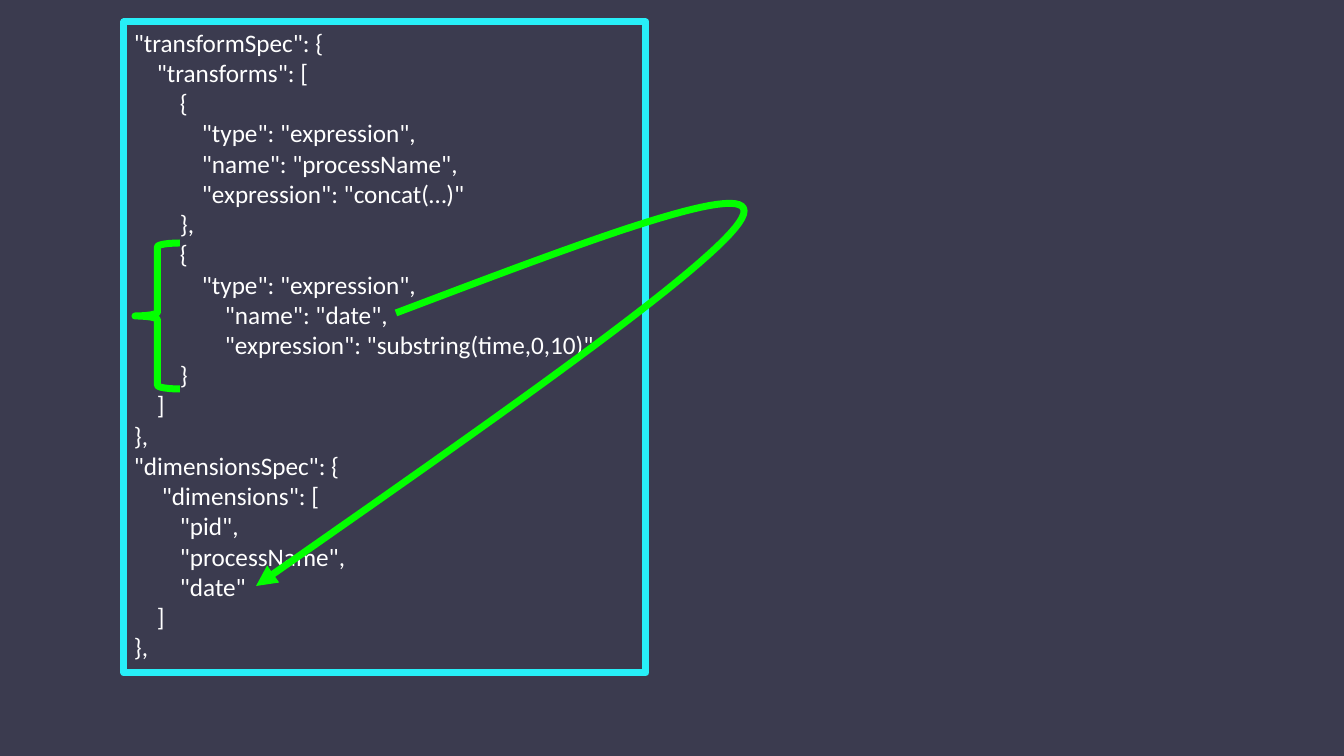
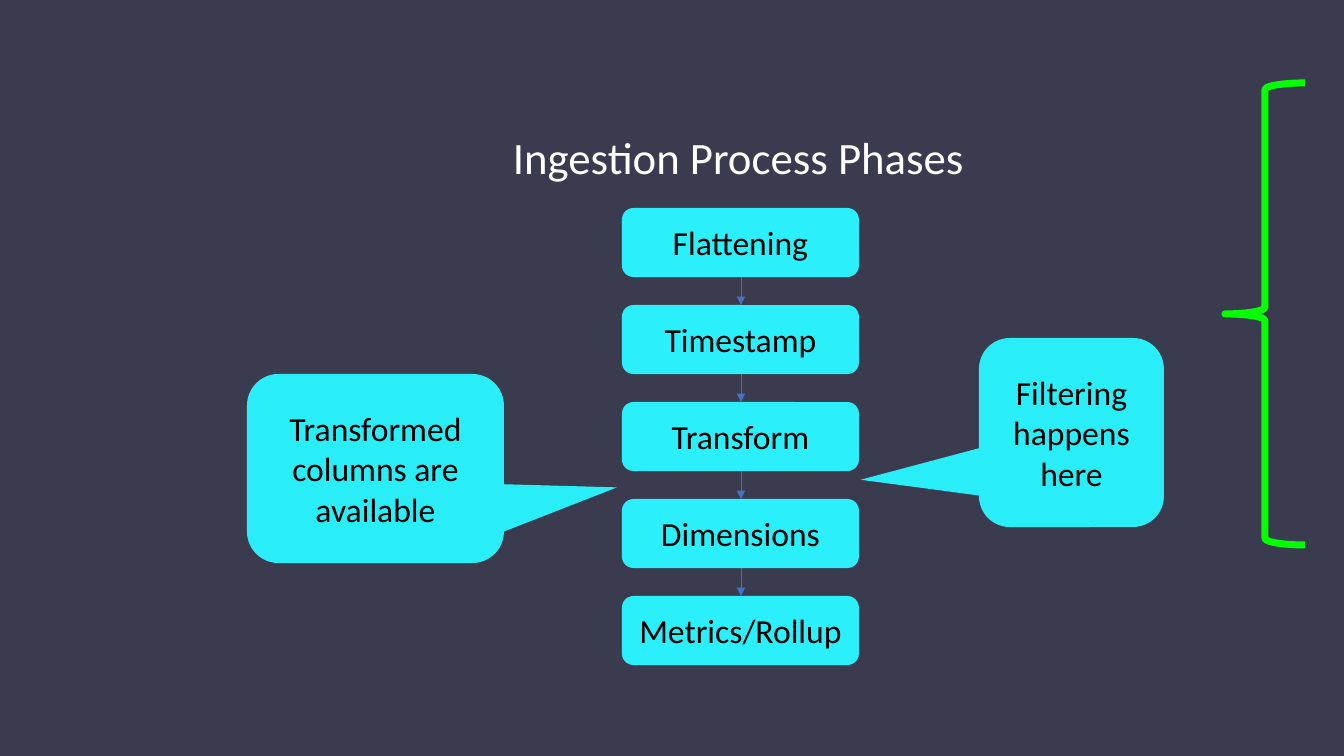
from lxml import etree
from pptx import Presentation
from pptx.dml.color import RGBColor
from pptx.enum.shapes import MSO_CONNECTOR, MSO_SHAPE
from pptx.enum.text import MSO_ANCHOR, MSO_AUTO_SIZE, PP_ALIGN
from pptx.oxml.ns import qn
from pptx.util import Pt

EMU_PER_PX = 914400 / 100.8
SLIDE_SIZE = (1344, 756)

NIGHT = RGBColor(0x3B, 0x3B, 0x4F)
FRAME_CYAN = RGBColor(0x27, 0xEF, 0xF8)
PHASE_CYAN = RGBColor(0x2B, 0xEF, 0xFB)
CALLOUT_CYAN = RGBColor(0x29, 0xEE, 0xF8)
GREEN = RGBColor(0x03, 0xFF, 0x00)
BLUE = RGBColor(0x44, 0x72, 0xC4)
WHITE = RGBColor(0xFF, 0xFF, 0xFF)
BLACK = RGBColor(0x00, 0x00, 0x00)

FONT = "Calibri"
CODE_SIZE, LABEL_SIZE, TITLE_SIZE = 18, 24, 32
THICK, THIN = 5, 0.5

RECTANGLE = MSO_SHAPE.RECTANGLE
ROUNDED = MSO_SHAPE.ROUNDED_RECTANGLE
CALLOUT = MSO_SHAPE.ROUNDED_RECTANGULAR_CALLOUT
LEFT_BRACE = MSO_SHAPE.LEFT_BRACE
STRAIGHT = MSO_CONNECTOR.STRAIGHT
LEFT, CENTER = PP_ALIGN.LEFT, PP_ALIGN.CENTER
TOP, MIDDLE = MSO_ANCHOR.TOP, MSO_ANCHOR.MIDDLE
GROW = MSO_AUTO_SIZE.SHAPE_TO_FIT_TEXT

# Each code line is its left indent in px and its text.
CODE = [
    (0, '"transformSpec": {'),
    (23, '"transforms": ['),
    (46, '{'),
    (68, '"type": "expression",'),
    (68, '"name": "processName",'),
    (68, '"expression": "concat(…)"'),
    (46, '},'),
    (46, '{'),
    (68, '"type": "expression",'),
    (91, '"name": "date",'),
    (91, '"expression": "substring(time,0,10)"'),
    (46, '}'),
    (23, ']'),
    (0, '},'),
    (0, '"dimensionsSpec": {'),
    (28, '"dimensions": ['),
    (46, '"pid",'),
    (46, '"processName",'),
    (46, '"date"'),
    (23, ']'),
    (0, '},'),
]
PHASES = ["Flattening", "Timestamp", "Transform", "Dimensions", "Metrics/Rollup"]


def px(length):
    return round(length * EMU_PER_PX)


def bezier_points(start, first, second, end, steps=32):
    """Points along a cubic curve, without its start."""
    points = []
    for step in range(1, steps + 1):
        t = step / steps
        u = 1 - t
        weights = (u ** 3, 3 * u * u * t, 3 * u * t * t, t ** 3)
        points.append(tuple(
            px(sum(w * c for w, c in zip(weights, coords)))
            for coords in zip(start, first, second, end)))
    return points


class Deck:
    def __init__(self):
        self.deck = Presentation()
        self.deck.slide_width, self.deck.slide_height = map(px, SLIDE_SIZE)
        background = self.deck.slide_master.background.fill
        background.solid()
        background.fore_color.rgb = NIGHT
        self.slide = None

    def new_slide(self):
        self.slide = self.deck.slides.add_slide(self.deck.slide_layouts[6])

    def style(self, shape, fill=None, line=None):
        shape.shadow.inherit = False
        if fill is None:
            shape.fill.background()
        else:
            shape.fill.solid()
            shape.fill.fore_color.rgb = fill
        if line is None:
            shape.line.fill.background()
        else:
            self.stroke(shape, line, THICK)

    def stroke(self, shape, color, width):
        shape.line.color.rgb = color
        shape.line.width = Pt(width)

    def arrowhead(self, shape):
        line = shape._element.spPr.find(qn("a:ln"))
        etree.SubElement(line, qn("a:tailEnd"), type="triangle")

    def shape(self, kind, left, top, width, height, fill=None, line=None):
        shape = self.slide.shapes.add_shape(
            kind, px(left), px(top), px(width), px(height))
        self.style(shape, fill, line)
        return shape

    def add_text(self, frame, lines, size, color, align=LEFT, anchor=TOP):
        """Add one paragraph for each (indent, text) line."""
        frame.word_wrap = True
        frame.vertical_anchor = anchor
        for number, (indent, text) in enumerate(lines):
            para = frame.add_paragraph() if number else frame.paragraphs[0]
            para.alignment = align
            if indent:
                para._p.get_or_add_pPr().set("marL", str(px(indent)))
            span = para.add_run()
            span.text = text
            span.font.name = FONT
            span.font.size = Pt(size)
            span.font.color.rgb = color

    def label(self, shape, *texts):
        lines = [(0, text) for text in texts]
        self.add_text(shape.text_frame, lines, LABEL_SIZE, BLACK, CENTER, MIDDLE)

    def title(self, left, top, width, height, text):
        box = self.slide.shapes.add_textbox(
            px(left), px(top), px(width), px(height))
        self.add_text(box.text_frame, [(0, text)], TITLE_SIZE, WHITE)
        box.text_frame.word_wrap = False
        box.text_frame.auto_size = GROW

    def code_box(self, left, top, width, height, lines):
        box = self.shape(RECTANGLE, left, top, width, height, line=FRAME_CYAN)
        self.add_text(box.text_frame, lines, CODE_SIZE, WHITE)
        box.text_frame.auto_size = GROW

    def brace(self, left, top, width, height):
        self.shape(LEFT_BRACE, left, top, width, height, line=GREEN)

    def phase(self, left, top, width, height, text):
        self.label(self.shape(ROUNDED, left, top, width, height, PHASE_CYAN), text)

    def callout(self, left, top, width, height, tip, *texts):
        """Callout whose tip is given as shares of its size from its centre."""
        bubble = self.shape(CALLOUT, left, top, width, height, CALLOUT_CYAN)
        bubble.adjustments[0], bubble.adjustments[1] = tip
        self.label(bubble, *texts)

    def arrow(self, x, top, bottom):
        arrow = self.slide.shapes.add_connector(
            STRAIGHT, px(x), px(top), px(x), px(bottom))
        self.stroke(arrow, BLUE, THIN)
        self.arrowhead(arrow)
        etree.SubElement(arrow._element.spPr, qn("a:effectLst"))

    def curved_arrow(self, start, *curves):
        """Arrow through cubic curves, each two control points and an end."""
        builder = self.slide.shapes.build_freeform(px(start[0]), px(start[1]))
        for first, second, end in curves:
            builder.add_line_segments(
                bezier_points(start, first, second, end), close=False)
            start = end
        curve = builder.convert_to_shape()
        self.style(curve, line=GREEN)
        self.arrowhead(curve)


def transform_slide(deck):
    deck.new_slide()
    deck.code_box(124, 22, 522, 651, CODE)
    deck.brace(135, 243, 45, 146)
    deck.curved_arrow(
        (396, 313),
        ((581, 243), (766, 172), (742, 218)),
        ((719, 263), (488, 424), (256, 586)))


def phases_slide(deck):
    left, top, width, height, pitch = 622, 208, 237, 69, 97
    deck.new_slide()
    for number, text in enumerate(PHASES):
        deck.phase(left, top + number * pitch, width, height, text)
    for number in range(1, len(PHASES)):
        next_top = top + number * pitch
        deck.arrow(741, next_top - pitch + height, next_top)
    deck.title(503, 125, 475, 64, "Ingestion Process Phases")
    deck.callout(979, 338, 185, 189, (-1.14, 0.25),
                 "Filtering", "happens", "here")
    deck.callout(247, 374, 257, 189, (0.94, 0.1),
                 "Transformed columns are available")
    deck.brace(1225, 83, 80, 462)


def main():
    deck = Deck()
    transform_slide(deck)
    phases_slide(deck)
    deck.deck.save("out.pptx")


if __name__ == "__main__":
    main()
